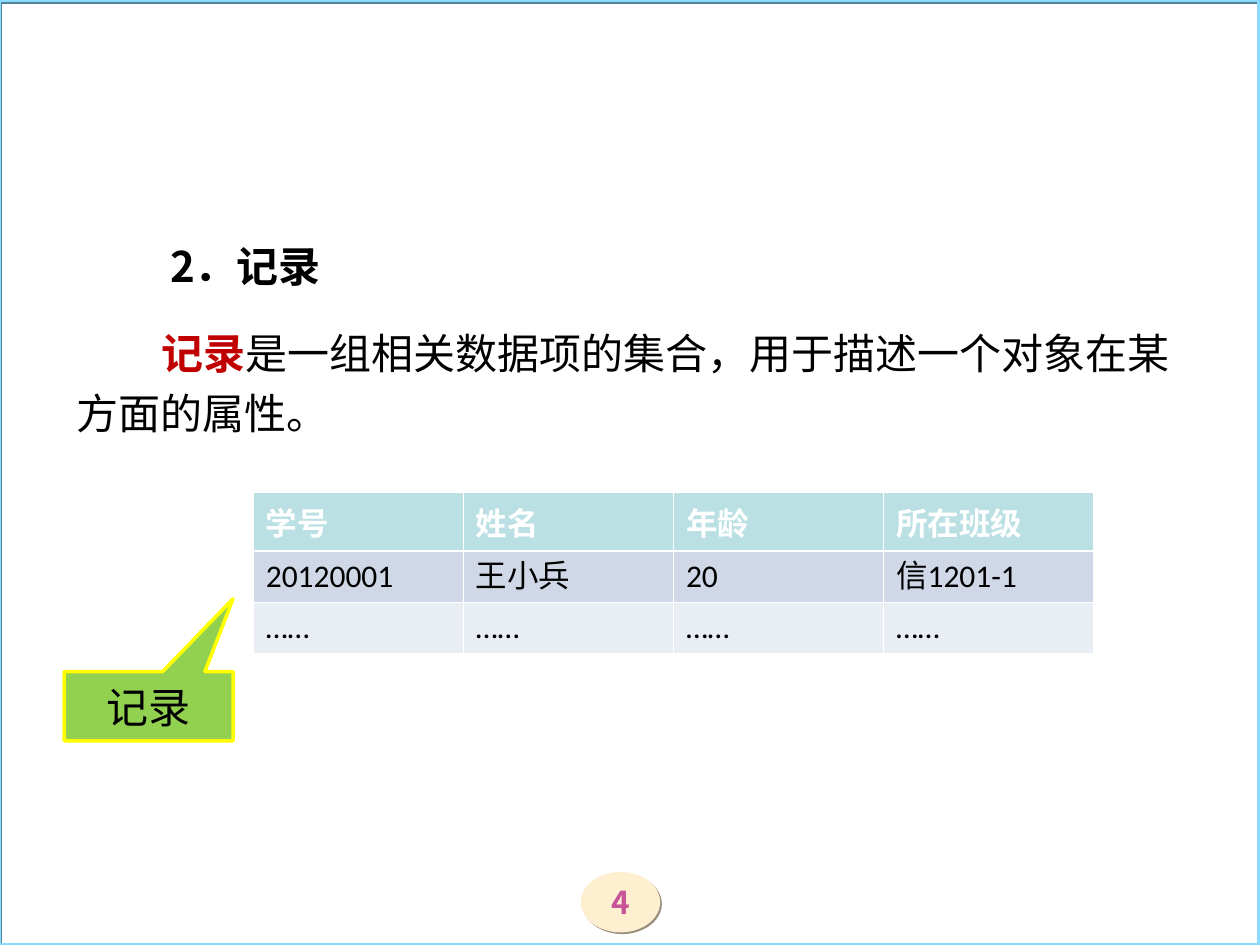
from lxml.etree import SubElement
from pptx import Presentation
from pptx.dml.color import RGBColor
from pptx.enum.shapes import MSO_SHAPE as SHAPE
from pptx.enum.text import MSO_ANCHOR as ANCHOR, MSO_AUTO_SIZE as AUTO, PP_ALIGN as ALIGN
from pptx.oxml.ns import qn
from pptx.util import Inches, Pt

CJK, LATIN = "Noto Sans CJK SC", "Calibri"
COLORS = {
    "black": "000000", "white": "FFFFFF", "red": "C00000",
    "frame": "8ADBFF", "frame_shadow": "538399",
    "badge": "FFEFD1", "badge_shadow": "998F7D", "number": "C75399",
    "callout": "92D050", "callout_line": "FFFF00",
    "header": "BBE0E3", "band_dark": "D0D8E8", "band_light": "E9EDF4",
}
ROWS = [
    ("header", ["学号", "姓名", "年龄", "所在班级"]),
    ("band_dark", ["20120001", "王小兵", "20", "信1201-1"]),
    ("band_light", ["……"] * 4),
]


def rgb(name):
    return RGBColor.from_string(COLORS[name])


def add_run(p, text, size, color="black", bold=False, font=CJK):
    r = p.add_run()
    r.text = text
    r.font.size, r.font.bold, r.font.name = Pt(size), bold, font
    r.font.color.rgb = rgb(color)
    SubElement(r.font._element, qn("a:ea"), typeface=font)


def add_shape(slide, kind, box, fill=None, line=None, width=0):
    sp = slide.shapes.add_shape(kind, *map(Inches, box))
    sp.shadow.inherit = False
    if fill:
        sp.fill.solid()
        sp.fill.fore_color.rgb = rgb(fill)
    else:
        sp.fill.background()
    if line:
        sp.line.color.rgb = rgb(line)
        sp.line.width = Pt(width)
    else:
        sp.line.fill.background()
    return sp


def add_hard_shadow(sp, color):
    effects = sp._element.spPr.find(qn("a:effectLst"))
    shadow = SubElement(effects, qn("a:outerShdw"), dist=str(Pt(1.4)),
                        dir="2700000", algn="ctr", rotWithShape="0")
    SubElement(shadow, qn("a:srgbClr"), val=COLORS[color])


def add_label(sp, text, size, color="black", bold=False):
    tf = sp.text_frame
    tf.vertical_anchor = ANCHOR.MIDDLE
    p = tf.paragraphs[0]
    p.alignment = ALIGN.CENTER
    add_run(p, text, size, color, bold)
    return tf


def format_body_paragraph(p, indent, align):
    p.line_spacing, p.space_before, p.space_after = 1.2, Pt(15), Pt(0)
    p.alignment = align
    pPr = p._p.get_or_add_pPr()
    pPr.set("marL", "0")
    pPr.set("indent", str(Inches(indent)))
    SubElement(pPr, qn("a:buNone"))


def add_definition(slide):
    title = slide.shapes.title._element
    title.getparent().remove(title)
    body = slide.placeholders[1]
    body.left, body.top, body.width, body.height = map(Inches, (0.51, 1.78, 9.17, 1.75))
    tf = body.text_frame
    tf.word_wrap, tf.auto_size = True, AUTO.NONE
    tf.vertical_anchor = ANCHOR.TOP

    heading = tf.paragraphs[0]
    format_body_paragraph(heading, 0.74, ALIGN.JUSTIFY)
    add_run(heading, "2．记录", 24, bold=True)

    p = tf.add_paragraph()
    format_body_paragraph(p, 0.67, ALIGN.LEFT)
    add_run(p, "记录", 24, "red", True)
    add_run(p, "是一组相关数据项的集合，用于描述一个对象在某方面的属性。", 24)


def set_borders(cell, top, bottom):
    tcPr = cell._tc.get_or_add_tcPr()
    widths = {"lnL": 0.45, "lnR": 0.45, "lnT": top, "lnB": bottom}
    for i, (side, width) in enumerate(widths.items()):
        ln = SubElement(tcPr, qn(f"a:{side}"), w=str(Pt(width)))
        SubElement(SubElement(ln, qn("a:solidFill")), qn("a:srgbClr"), val=COLORS["white"])
        tcPr.insert(i, ln)  # borders precede the fill


def add_record_table(slide):
    box = map(Inches, (2.01, 3.91, 6.67, 1.22))
    table = slide.shapes.add_table(len(ROWS), len(ROWS[0][1]), *box).table
    for i, (fill, texts) in enumerate(ROWS):
        is_header = i == 0
        for j, text in enumerate(texts):
            cell = table.cell(i, j)
            cell.fill.solid()
            cell.fill.fore_color.rgb = rgb(fill)
            set_borders(cell, 1.47 if i == 1 else 0.45, 1.47 if is_header else 0.45)
            add_run(cell.text_frame.paragraphs[0], text, 18,
                    "white" if is_header else "black", is_header,
                    CJK if is_header else LATIN)


def main():
    prs = Presentation()
    prs.slide_width, prs.slide_height = Inches(10), Inches(7.5)
    slide = prs.slides.add_slide(prs.slide_layouts[1])

    # Page number badge and slide frame
    badge = add_shape(slide, SHAPE.OVAL, (4.61, 6.92, 0.63, 0.48), "badge")
    add_hard_shadow(badge, "badge_shadow")
    tf = add_label(badge, "4", 18, "number", True)
    tf.margin_left = tf.margin_right = tf.margin_top = tf.margin_bottom = 0
    frame = add_shape(slide, SHAPE.RECTANGLE, (-0.01, 0, 10, 7.5), line="frame", width=2.25)
    add_hard_shadow(frame, "frame_shadow")

    # Definition and example record
    add_definition(slide)
    add_record_table(slide)

    # Callout pointing at the record row
    callout = add_shape(slide, SHAPE.RECTANGULAR_CALLOUT, (0.51, 5.33, 1.34, 0.55),
                        "callout", "callout_line", 2)
    callout.adjustments[0], callout.adjustments[1] = 0.5, -1.55
    add_label(callout, "记录", 24)

    prs.save("out.pptx")


if __name__ == "__main__":
    main()
